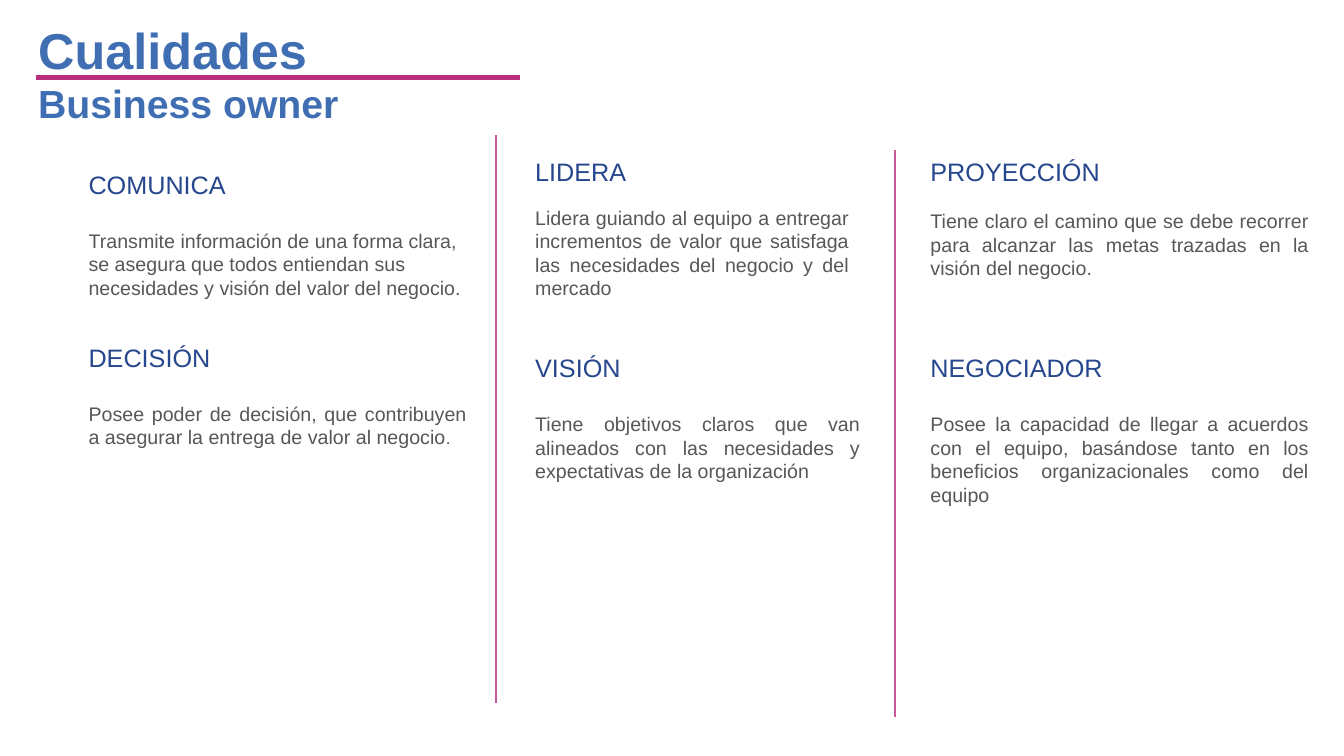
import pptx
import pptx.util
import pptx.dml.color
import pptx.enum.shapes
import pptx.enum.text
import pptx.oxml.ns
import lxml.etree

Inches = pptx.util.Inches
Pt = pptx.util.Pt
ALIGN = pptx.enum.text.PP_ALIGN

TITLE = {"name": "Arial", "size": Pt(36), "bold": True, "color": "406EB3"}
SUB = TITLE | {"size": Pt(28)}
HEAD = {"name": "Arial", "size": Pt(18), "color": "26478D"}
BODY = {"name": "Arial", "size": Pt(14), "color": "575756"}
STOP = BODY | {"size": Pt(12)}

LEFT, MID, RIGHT = 0.78, 5.21, 9.13
TOP, LOW = 1.5, 3.45
WIDE = 3.95

# Box, gap between heading and text in points, alignment, heading, text runs
TRAITS = [
    ((LEFT, 1.63, WIDE, 1.41), 20.7, ALIGN.LEFT, "COMUNICA",
     [("Transmite información de una forma clara, se asegura que todos "
       "entiendan sus necesidades y visión del valor del negocio.", BODY)]),
    ((LEFT, 3.35, WIDE, 1.18), 20.7, ALIGN.JUSTIFY, "DECISIÓN",
     [("Posee poder de decisión, que contribuyen a asegurar la entrega de "
       "valor al negocio", BODY), (".", STOP)]),
    ((MID, TOP, 3.31, 1.95), 13.8, ALIGN.JUSTIFY, "LIDERA",
     [("Lidera guiando al equipo a entregar incrementos de valor que "
       "satisfaga las necesidades del negocio y del mercado", BODY)]),
    ((MID, LOW, 3.42, 2.22), 20.7, ALIGN.JUSTIFY, "VISIÓN",
     [("Tiene objetivos claros que van alineados con las necesidades y "
       "expectativas de la organización", BODY)]),
    ((RIGHT, TOP, WIDE, 1.35), 16.1, ALIGN.JUSTIFY, "PROYECCIÓN",
     [("Tiene claro el camino que se debe recorrer para alcanzar las metas "
       "trazadas en la visión del negocio.", BODY)]),
    ((RIGHT, LOW, WIDE, 1.65), 20.7, ALIGN.JUSTIFY, "NEGOCIADOR",
     [("Posee la capacidad de llegar a acuerdos con el equipo, basándose "
       "tanto en los beneficios organizacionales como del equipo", BODY)]),
]


def paint(target, color):
    target.rgb = pptx.dml.color.RGBColor.from_string(color)


def style(font, look):
    for key, value in look.items():
        if key == "color":
            paint(font.color, value)
        else:
            setattr(font, key, value)


def add_text(slide, box, paras, wrap=True, align=ALIGN.LEFT, gap=0):
    """Write paragraphs, each a list of (text, look) runs, gap points apart."""
    frame = slide.shapes.add_textbox(*map(Inches, box)).text_frame
    frame.word_wrap = wrap
    frame.auto_size = pptx.enum.text.MSO_AUTO_SIZE.SHAPE_TO_FIT_TEXT
    for index, runs in enumerate(paras):
        para = frame.add_paragraph() if index else frame.paragraphs[0]
        para.alignment = align
        if index and gap:
            para.space_before = Pt(gap)
        for text, look in runs:
            run = para.add_run()
            run.text = text
            style(run.font, look)


def add_rule(slide, start, end, color, width):
    rule = slide.shapes.add_connector(
        pptx.enum.shapes.MSO_CONNECTOR.STRAIGHT, *map(Inches, start + end))
    paint(rule.line.color, color)
    rule.line.width = Pt(width)
    props = rule._element.spPr
    lxml.etree.SubElement(props, pptx.oxml.ns.qn("a:effectLst"))


def add_title(slide, box):
    left, top = box[:2]
    add_text(slide, box, [[("Cualidades", TITLE)], [("Business owner", SUB)]],
             wrap=False)
    add_rule(slide, (left + 0.08, top + 0.63), (left + 4.88, top + 0.63),
             "BA2F7D", 3)


def add_trait(slide, box, gap, align, name, runs):
    add_text(slide, box, [[(name, HEAD)], runs], align=align, gap=gap)


def main():
    deck = pptx.Presentation()
    deck.slide_width, deck.slide_height = Inches(13.33), Inches(7.5)
    slide = deck.slides.add_slide(deck.slide_layouts[6])
    add_title(slide, (0.28, 0.14, 3.22, 1.18))
    for trait in TRAITS:
        add_trait(slide, *trait)
    for x, low, high in [(4.92, 6.97, 1.34), (8.88, 7.11, 1.49)]:
        add_rule(slide, (x, low), (x, high), "C85997", 1.5)
    deck.save("out.pptx")


if __name__ == "__main__":
    main()
